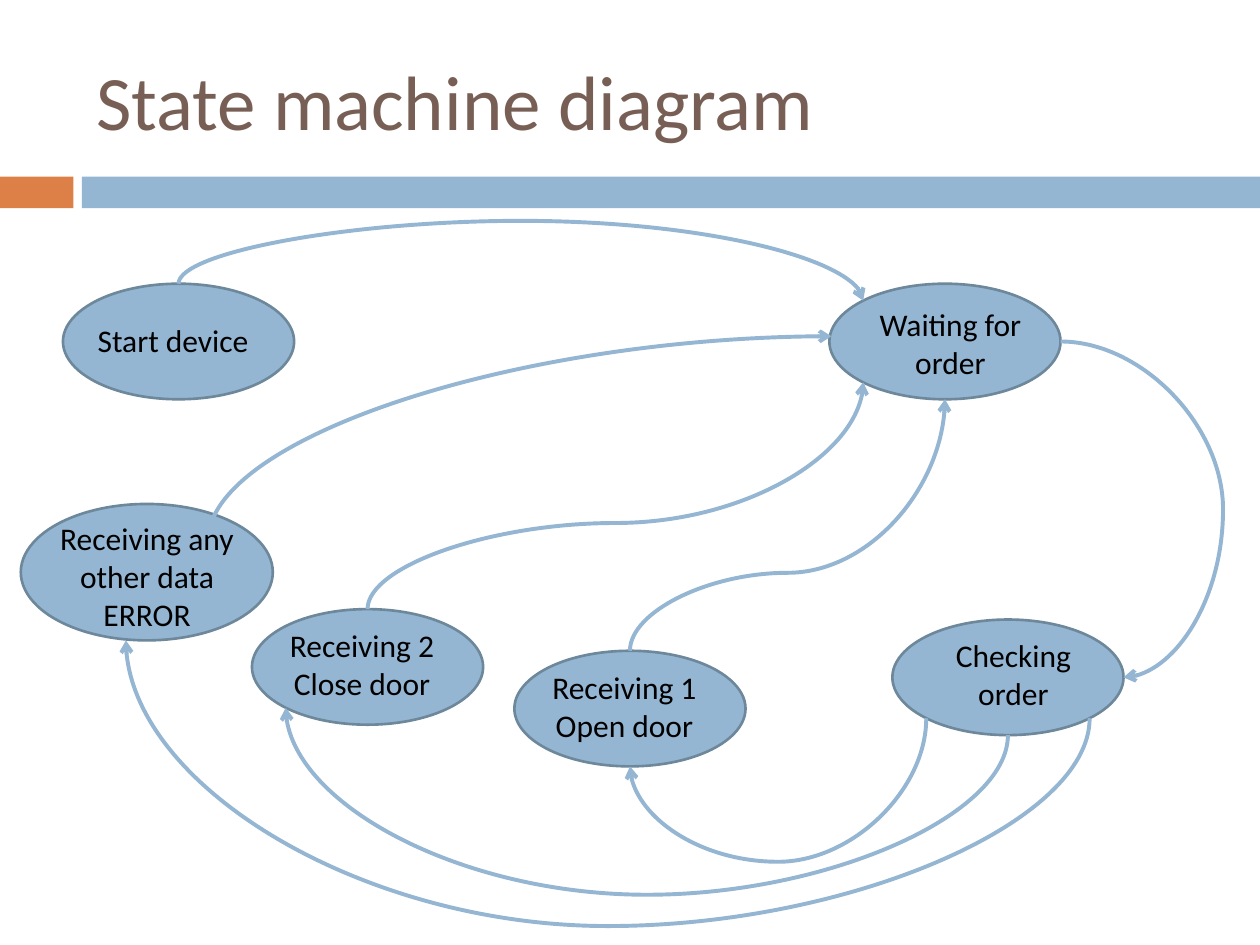
"""Build a slide showing the state machine of a door device."""
from math import cos, radians, sin

from lxml import etree
from pptx import Presentation
from pptx.dml.color import RGBColor
from pptx.enum.shapes import MSO_CONNECTOR, MSO_SHAPE
from pptx.enum.text import MSO_ANCHOR, MSO_AUTO_SIZE, PP_ALIGN
from pptx.oxml.ns import qn
from pptx.util import Cm, Pt

RECTANGLE, ELLIPSE = MSO_SHAPE.RECTANGLE, MSO_SHAPE.OVAL
CURVE = MSO_CONNECTOR.CURVE
LEFT, CENTER = PP_ALIGN.LEFT, PP_ALIGN.CENTER
MIDDLE, TOP = MSO_ANCHOR.MIDDLE, MSO_ANCHOR.TOP
GROW, FIXED = MSO_AUTO_SIZE.SHAPE_TO_FIT_TEXT, MSO_AUTO_SIZE.NONE

BLUE = RGBColor(0x94, 0xB6, 0xD2)
SLATE = RGBColor(0x6D, 0x87, 0x9B)
ORANGE = RGBColor(0xDD, 0x80, 0x47)
BROWN = RGBColor(0x77, 0x5F, 0x55)
BLACK = RGBColor(0, 0, 0)

STATE_SIZE = (4.66, 2.33)
STATES = {
    "checking": (17.99, 12.49, *STATE_SIZE),
    "close": (5.08, 12.28, *STATE_SIZE),
    "error": (0.42, 10.16, 5.08, 2.75),
    "open": (10.37, 13.12, *STATE_SIZE),
    "start": (1.27, 5.72, *STATE_SIZE),
    "waiting": (16.72, 5.72, *STATE_SIZE),
}
LABELS = [
    (("Start device",), 1.48, 6.35, 4.02, 1.03),
    (("Waiting for order",), 17.15, 6.03, 4.02, 1.8),
    (("Receiving 1", "Open door"), 10.58, 13.34, 4.02, 1.8),
    (("Receiving 2", "Close door"), 5.29, 12.49, 4.02, 1.8),
    (("Checking order",), 18.42, 12.7, 4.02, 1.8),
    (("Receiving any other data", "ERROR"), 0.85, 10.34, 4.23, 2.56),
]


def rim(state, degrees):
    """Return the point on a state's outline, clockwise from the right."""
    left, top, width, height = STATES[state]
    angle = radians(degrees)
    return left + width / 2 * (1 + cos(angle)), top + height / 2 * (1 + sin(angle))


class Diagram:
    """Hold the style and the current slide."""

    font = "Calibri"

    def __init__(self, slide):
        self.slide = slide

    def block(self, kind, box, fill, line=None):
        """Add a filled shape, outlined when a line colour is given."""
        shape = self.slide.shapes.add_shape(kind, *map(Cm, box))
        shape.shadow.inherit = False
        shape.fill.solid()
        shape.fill.fore_color.rgb = fill
        if line is None:
            shape.line.fill.background()
        else:
            shape.line.color.rgb = line
            shape.line.width = Pt(1.5)

    def text(self, lines, box, size=18, color=BLACK, align=CENTER, anchor=TOP, fit=GROW):
        """Add a text box with one paragraph for each line."""
        frame = self.slide.shapes.add_textbox(*map(Cm, box)).text_frame
        frame.word_wrap = True
        frame.auto_size = fit
        frame.vertical_anchor = anchor
        for index, line in enumerate(lines):
            paragraph = frame.add_paragraph() if index else frame.paragraphs[0]
            paragraph.alignment = align
            run = paragraph.add_run()
            run.text = line
            run.font.name = self.font
            run.font.size = Pt(size)
            run.font.color.rgb = color

    def transition(self, start, end, rotation, bend=None):
        """Add a curved arrow; without a bend it turns only once."""
        across, down = end[0] - start[0], end[1] - start[1]
        run, rise = {0: (across, down), 90: (down, -across), 270: (-down, across)}[rotation]
        center = (start[0] + end[0]) / 2, (start[1] + end[1]) / 2
        corners = [center[0] - run / 2, center[1] - rise / 2,
                   center[0] + run / 2, center[1] + rise / 2]
        connector = self.slide.shapes.add_connector(CURVE, *map(Cm, corners))
        connector.line.color.rgb = BLUE
        connector.line.width = Pt(2.25)
        properties = connector._element.spPr
        properties.find(qn("a:xfrm")).set("rot", str(rotation * 60000))
        geometry = properties.find(qn("a:prstGeom"))
        if bend is None:
            geometry.set("prst", "curvedConnector2")
        else:
            guides = geometry.find(qn("a:avLst"))
            etree.SubElement(guides, qn("a:gd"), name="adj1", fmla=f"val {round(bend * 100000)}")
        etree.SubElement(properties.find(qn("a:ln")), qn("a:tailEnd"), type="arrow")
        etree.SubElement(properties, qn("a:effectLst"))


def main():
    """Draw the slide and save it."""
    presentation = Presentation()
    presentation.slide_width, presentation.slide_height = Cm(25.4), Cm(19.05)
    diagram = Diagram(presentation.slides.add_slide(presentation.slide_layouts[6]))
    diagram.block(RECTANGLE, (0, 3.56, 1.48, 0.64), ORANGE)
    diagram.block(RECTANGLE, (1.65, 3.56, 23.75, 0.64), BLUE)
    diagram.text(["State machine diagram"], (1.69, 0.64, 22.66, 2.75),
                 44, BROWN, LEFT, MIDDLE, FIXED)
    for box in STATES.values():
        diagram.block(ELLIPSE, box, BLUE, SLATE)
    transitions = [
        (rim("start", 270), rim("waiting", 225), 270, -3.72),
        (rim("waiting", 0), rim("checking", 0), 0, 2.58),
        (rim("checking", 45), (2.54, 12.91), 90, -2.67),
        (rim("checking", 90), rim("close", 135), 90, -5.84),
        (rim("checking", 135), rim("open", 90), 90, 2.98),
        ((4.19, 10.92), (16.76, 6.78), 90),
        (rim("close", 270), rim("waiting", 135), 90, 0.38),
        (rim("open", 270), rim("waiting", 90), 90, 0.31),
    ]
    for transition in transitions:
        diagram.transition(*transition)
    for lines, *box in LABELS:
        diagram.text(lines, box)
    presentation.save("out.pptx")


if __name__ == "__main__":
    main()
